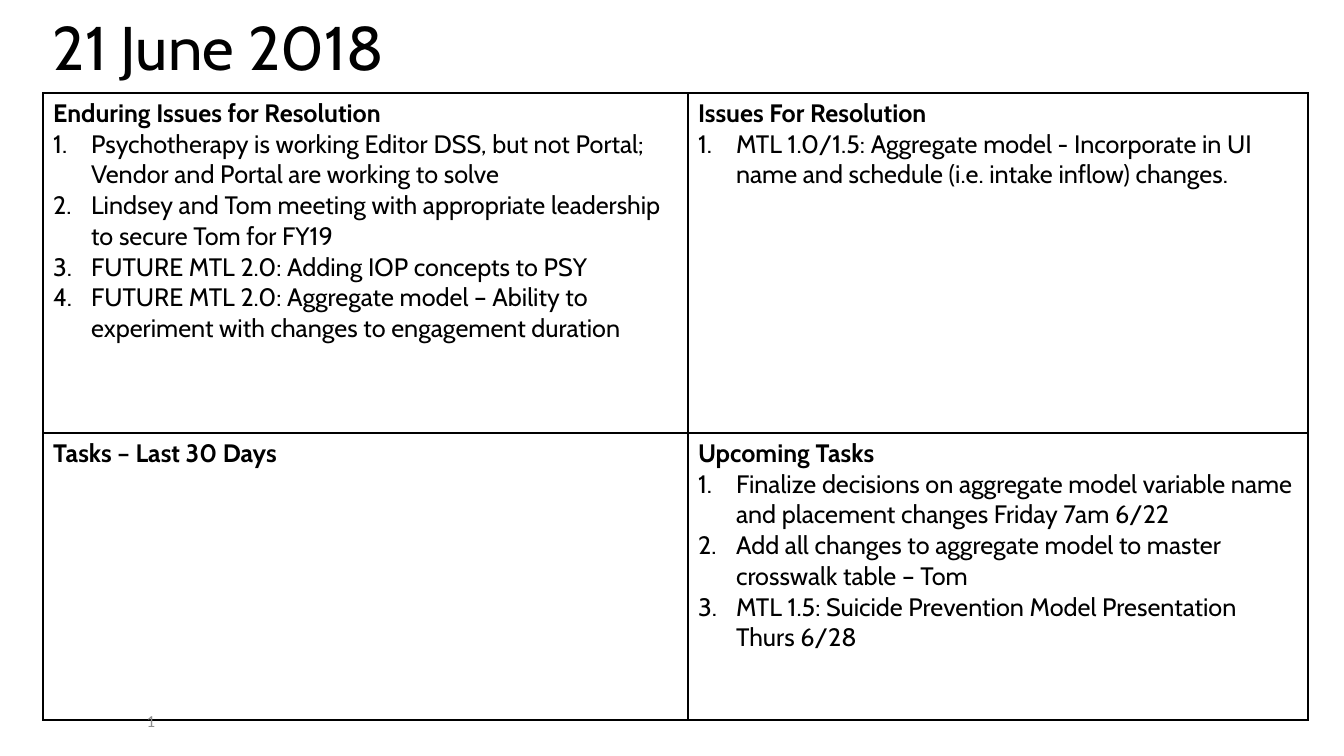
from lxml.etree import SubElement
from pptx import Presentation
from pptx.dml.color import RGBColor
from pptx.enum.text import MSO_ANCHOR, PP_ALIGN
from pptx.oxml.ns import qn
from pptx.util import Pt

EMU_PER_PX = 914400 / 100.8
BLACK = RGBColor(0x00, 0x00, 0x00)
GRAY = RGBColor(0x8C, 0x8C, 0x8C)

COLUMN_WIDTHS = (645, 620)
ROW_HEIGHTS = (340, 287)
LIST_INDENT = 38

# Each cell: heading and its numbered items
QUADRANTS = (
    (
        ("Enduring Issues for Resolution", (
            "Psychotherapy is working Editor DSS, but not Portal; "
            "Vendor and Portal are working to solve",
            "Lindsey and Tom meeting with appropriate leadership to secure Tom for FY19",
            "FUTURE MTL 2.0: Adding IOP concepts to PSY",
            "FUTURE MTL 2.0: Aggregate model – Ability to experiment "
            "with changes to engagement duration",
        )),
        ("Issues For Resolution", (
            "MTL 1.0/1.5: Aggregate model - Incorporate in UI name and schedule "
            "(i.e. intake inflow) changes.",
        )),
    ),
    (
        ("Tasks – Last 30 Days", ()),
        ("Upcoming Tasks", (
            "Finalize decisions on aggregate model variable name and placement "
            "changes Friday 7am 6/22",
            "Add all changes to aggregate model to master crosswalk table – Tom",
            "MTL 1.5: Suicide Prevention Model Presentation Thurs 6/28",
        )),
    ),
)


def px(length):
    return round(length * EMU_PER_PX)


def write(paragraph, text, color=BLACK, **font_format):
    run = paragraph.add_run()
    run.text = text
    run.font.color.rgb = color
    for name, value in font_format.items():
        setattr(run.font, name, value)


def add_label(slide, box, text, paragraph_format, **font_format):
    frame = slide.shapes.add_textbox(*map(px, box)).text_frame
    frame.word_wrap = True
    frame.vertical_anchor = MSO_ANCHOR.MIDDLE
    line = frame.paragraphs[0]
    for name, value in paragraph_format.items():
        setattr(line, name, value)
    write(line, text, **font_format)


def number(paragraph):
    properties = paragraph._p.get_or_add_pPr()
    properties.set("marL", str(px(LIST_INDENT)))
    properties.set("indent", str(-px(LIST_INDENT)))
    SubElement(properties, qn("a:buFont"), typeface="+mj-lt")
    SubElement(properties, qn("a:buAutoNum"), type="arabicPeriod")


def outline(cell):
    properties = cell._tc.get_or_add_tcPr()
    for side in ("lnL", "lnR", "lnT", "lnB"):
        border = SubElement(properties, qn(f"a:{side}"), w=str(Pt(1)))
        fill = SubElement(border, qn("a:solidFill"))
        SubElement(fill, qn("a:srgbClr"), val=str(BLACK))


def fill_quadrant(cell, heading, items):
    outline(cell)
    cell.fill.background()
    body = {"name": "Cabin", "size": Pt(18)}
    write(cell.text_frame.paragraphs[0], heading, bold=True, **body)
    for item in items:
        paragraph = cell.text_frame.add_paragraph()
        number(paragraph)
        write(paragraph, item, bold=False, **body)


def add_quadrants(slide, left, top):
    size = sum(COLUMN_WIDTHS), sum(ROW_HEIGHTS)
    table = slide.shapes.add_table(
        len(ROW_HEIGHTS), len(COLUMN_WIDTHS), *map(px, (left, top, *size))
    ).table
    table.first_row = table.horz_banding = False
    for column, width in zip(table.columns, COLUMN_WIDTHS):
        column.width = px(width)
    for row, height, quadrants in zip(table.rows, ROW_HEIGHTS, QUADRANTS):
        row.height = px(height)
        for cell, (heading, items) in zip(row.cells, quadrants):
            fill_quadrant(cell, heading, items)


def main():
    deck = Presentation()
    deck.slide_width, deck.slide_height = px(1344), px(756)
    slide = deck.slides.add_slide(deck.slide_layouts[6])

    # Meeting date
    add_label(slide, (43, 10, 1265, 81), "21 June 2018", {"line_spacing": 0.9},
              name="Cabin", size=Pt(44))

    # Issues above, tasks below
    add_quadrants(slide, 43, 93)

    # Page number
    add_label(slide, (0, 701, 302, 40), "1", {"alignment": PP_ALIGN.CENTER},
              name="Calibri", size=Pt(12), color=GRAY)

    deck.save("out.pptx")


main()
